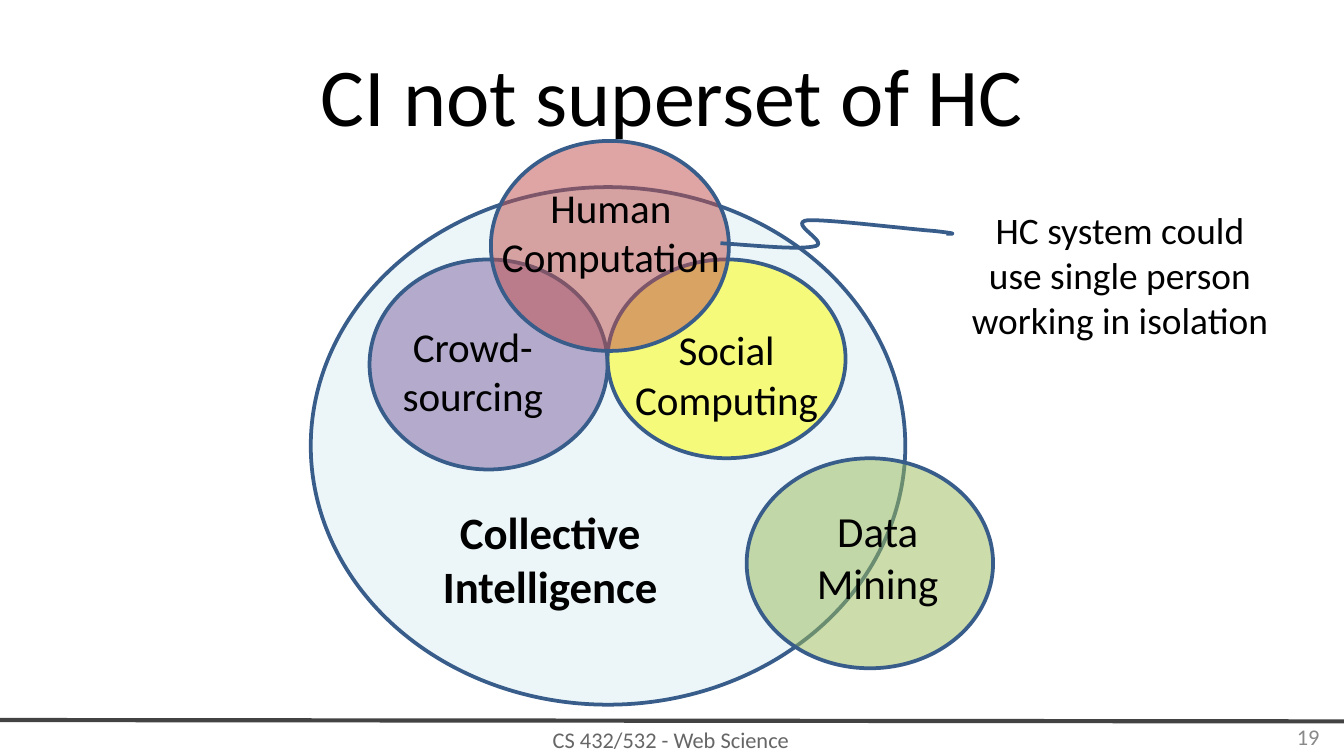
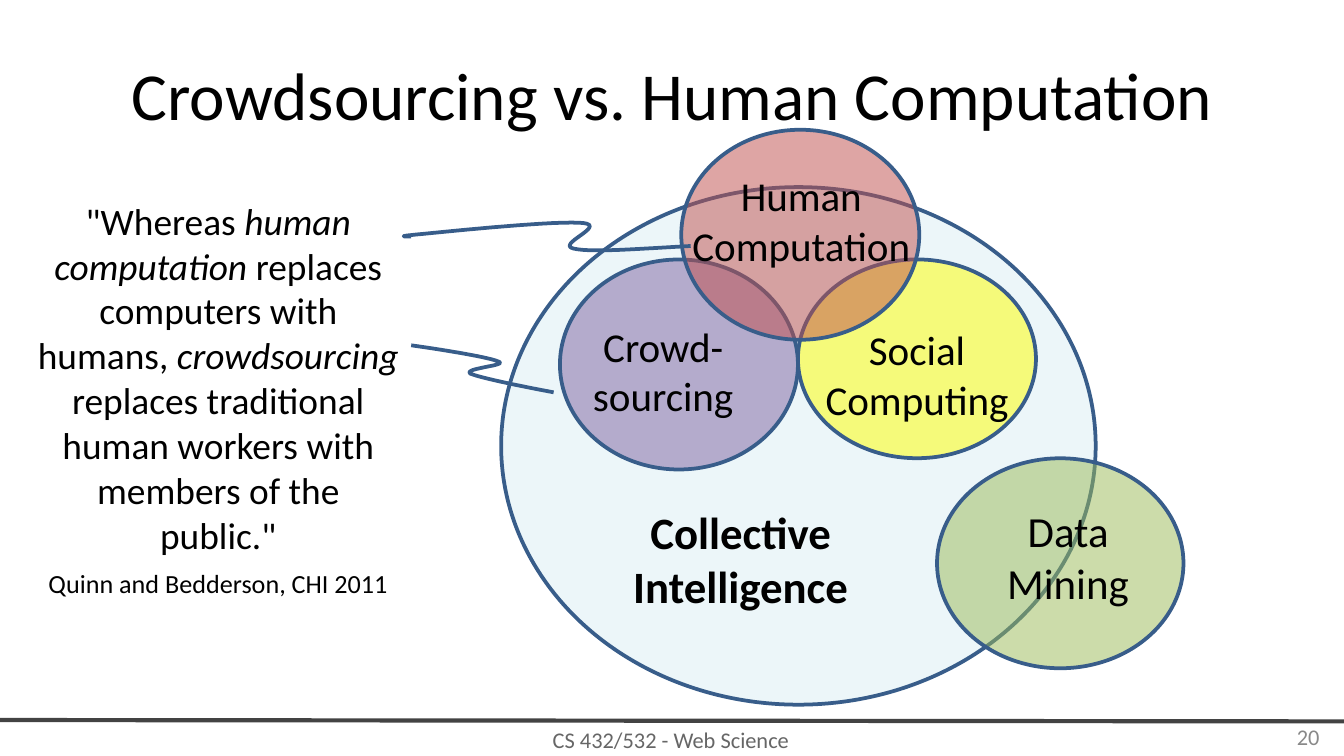
from lxml import etree
from pptx import Presentation
from pptx import util as u
from pptx.dml.color import RGBColor
from pptx.enum import shapes, text
from pptx.oxml import ns

Pt = u.Pt
BLACK = RGBColor(0x00, 0x00, 0x00)
OUTLINE = RGBColor(0x38, 0x5D, 0x8A)
RULE = RGBColor(0x43, 0x43, 0x43)
FOOTER = RGBColor(0x66, 0x66, 0x66)
NUMBER = RGBColor(0x89, 0x89, 0x89)
ICE = RGBColor(0xDB, 0xEE, 0xF4)
PURPLE = RGBColor(0x80, 0x64, 0xA2)
YELLOW = RGBColor(0xFF, 0xFF, 0x00)
RED = RGBColor(0xC0, 0x50, 0x4D)
GREEN = RGBColor(0x9B, 0xBB, 0x59)

FONT = "Calibri"
CENTER = text.PP_ALIGN.CENTER
TOP = text.MSO_ANCHOR.TOP
MIDDLE = text.MSO_ANCHOR.MIDDLE
CURVE_STEPS = 16

CIRCLES = [
    ("collective", 166.5, 100.25, 318.5, 277.25, ICE),
    ("crowd", 198, 139, 127.5, 112.5, PURPLE),
    ("social", 325.5, 139, 127.5, 106.5, YELLOW),
    ("human", 263, 75.5, 127.5, 112.5, RED),
    ("data", 400, 245.5, 132, 112.5, GREEN),
]
LABELS = [
    ("collective", "Collective Intelligence", 223.5, 267, 24),
    ("crowd", "Crowd-\vsourcing", 182, 168.5, 22),
    ("human", "Human Computation", 256, 94, 22),
    ("social", "Social Computing", 318, 170.5, 22),
    ("data", "Data\vMining", 399, 267, 23),
]
SLIDES = [
    {
        "title": "CI not superset of HC", "title_size": 44, "number": 19,
        "shift": 0, "human_lift": 0,
        "note_box": (510, 107.5, 180, 60),
        "note": [("HC system could use single person working in isolation", False)],
        "source": None,
        "curves": [
            [(507, 125.3), (510.5, 125.3), (514, 125.3), (501, 123.8),
             (489, 123), (443.5, 117.4), (432.7, 118),
             (422, 119.5), (444, 129.6), (437, 131.8),
             (429, 134), (407.5, 131.8), (386, 130.3)],
        ],
    },
    {
        "title": "Crowdsourcing vs. Human Computation", "title_size": 36, "number": 20,
        "shift": 102, "human_lift": 6,
        "note_box": (12, 102.5, 210, 168),
        "note": [
            ('"Whereas ', False), ("human computation", True),
            (" replaces computers with humans, ", False), ("crowdsourcing", True),
            (' replaces traditional human workers with members of the public."', False),
        ],
        "source": "Quinn and Bedderson, CHI 2011",
        "curves": [
            [(220.3, 126.7), (216, 126.7), (211.7, 126.7), (226.8, 125.3),
             (242, 123.8), (298.8, 118), (312.5, 119.5),
             (325.4, 121), (297.4, 131), (307.4, 133.2),
             (316.8, 135.4), (343.4, 133.2), (370, 131.8)],
            [(220.3, 185), (241.2, 188), (262, 191.5), (267, 193.7),
             (273, 195.8), (247.7, 197.3), (252, 200.2),
             (257, 202.3), (277.2, 206.6), (296.6, 210.2)],
        ],
    },
]


def write(box, content, size, color=BLACK, align=CENTER, anchor=TOP, bold=False):
    frame = box.text_frame
    frame.word_wrap = True
    frame.auto_size = text.MSO_AUTO_SIZE.NONE
    frame.vertical_anchor = anchor
    frame.margin_left = frame.margin_right = Pt(7.2)
    frame.margin_top = frame.margin_bottom = Pt(3.6)
    para = frame.paragraphs[0]
    para.alignment = align
    for words, italic in content:
        if "\v" in words:
            para.text = words
        else:
            para.add_run().text = words
        for span in para.runs if "\v" in words else para.runs[-1:]:
            span.font.name, span.font.size = FONT, Pt(size)
            span.font.color.rgb = color
            span.font.bold, span.font.italic = bold, italic


def draw_curve(page, points):
    samples = []
    for first in range(0, len(points) - 1, 3):
        a, b, c, d = points[first:first + 4]
        for step in range(1, CURVE_STEPS + 1):
            t = step / CURVE_STEPS
            s = 1 - t
            samples.append(tuple(
                Pt(s**3 * a[k] + 3 * s * s * t * b[k] + 3 * s * t * t * c[k] + t**3 * d[k])
                for k in (0, 1)))
    builder = page.shapes.build_freeform(Pt(points[0][0]), Pt(points[0][1]))
    builder.add_line_segments(samples, close=False)
    curve = builder.convert_to_shape()
    curve.shadow.inherit = False
    curve.fill.background()
    curve.line.color.rgb = OUTLINE
    curve.line.width = Pt(2)


deck = Presentation()
deck.slide_width, deck.slide_height = Pt(720), Pt(405)

for content in SLIDES:
    page = deck.slides.add_slide(deck.slide_layouts[5])

    footer = page.shapes.add_textbox(Pt(131), Pt(386.5), Pt(457), Pt(19))
    write(footer, [("CS 432/532 - Web Science", False)], 12, FOOTER, anchor=MIDDLE)
    rule = page.shapes.add_connector(
        shapes.MSO_CONNECTOR.STRAIGHT, Pt(0), Pt(385.75), Pt(720), Pt(386.5))
    rule.line.color.rgb = RULE
    rule.line.width = Pt(2.25)
    etree.SubElement(rule._element.spPr, ns.qn("a:effectLst"))

    title = page.shapes.title
    title.left, title.top, title.width, title.height = Pt(36), Pt(16.5), Pt(648), Pt(67.5)
    write(title, [(content["title"], False)], content["title_size"], anchor=MIDDLE)

    note = page.shapes.add_textbox(*map(Pt, content["note_box"]))
    write(note, content["note"], 20)
    if content["source"]:
        para = note.text_frame.add_paragraph()
        para.text = content["source"]
        para.alignment = CENTER
        para.space_before = Pt(6)
        span = para.runs[0]
        span.font.name, span.font.size = FONT, Pt(14)
        span.font.color.rgb = BLACK

    number = page.shapes.add_textbox(Pt(546), Pt(384), Pt(168), Pt(21.5))
    write(number, [(str(content["number"]), False)], 12, NUMBER,
          text.PP_ALIGN.RIGHT, MIDDLE)

    lift = {"human": content["human_lift"]}
    for topic, left, top, width, height, color in CIRCLES:
        circle = page.shapes.add_shape(
            shapes.MSO_SHAPE.OVAL, Pt(left + content["shift"]),
            Pt(top - lift.get(topic, 0)), Pt(width), Pt(height))
        circle.shadow.inherit = False
        circle.fill.solid()
        circle.fill.fore_color.rgb = color
        tint = circle._element.spPr.find(".//" + ns.qn("a:srgbClr"))
        etree.SubElement(tint, ns.qn("a:alpha"), val="51000")
        circle.line.color.rgb = OUTLINE
        circle.line.width = Pt(2)

    for topic, words, left, top, size in LABELS:
        label = page.shapes.add_textbox(
            Pt(left + content["shift"]), Pt(top - lift.get(topic, 0)), Pt(142.5), Pt(60))
        write(label, [(words, False)], size, bold=topic == "collective")

    for points in content["curves"]:
        draw_curve(page, points)

deck.save("out.pptx")
